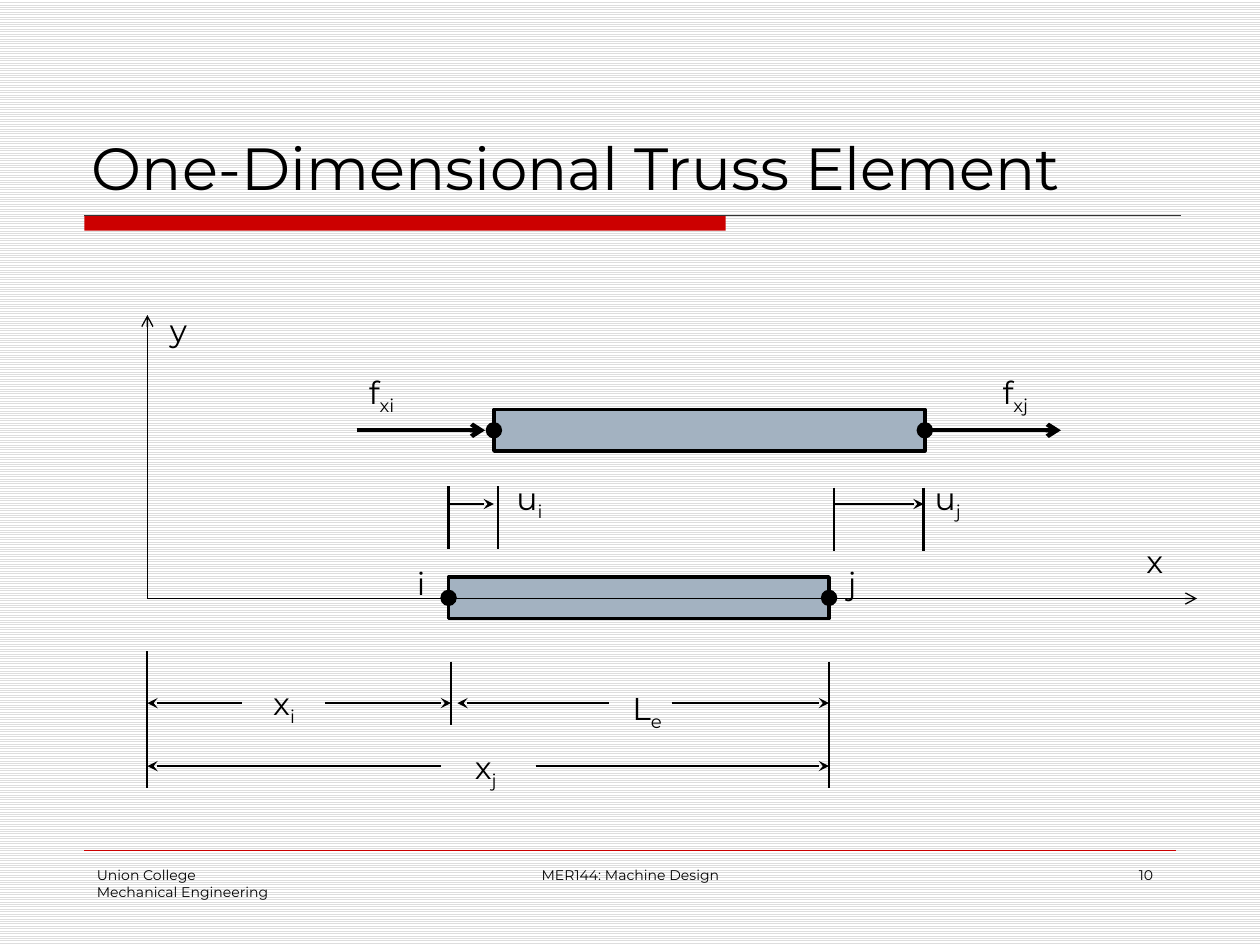
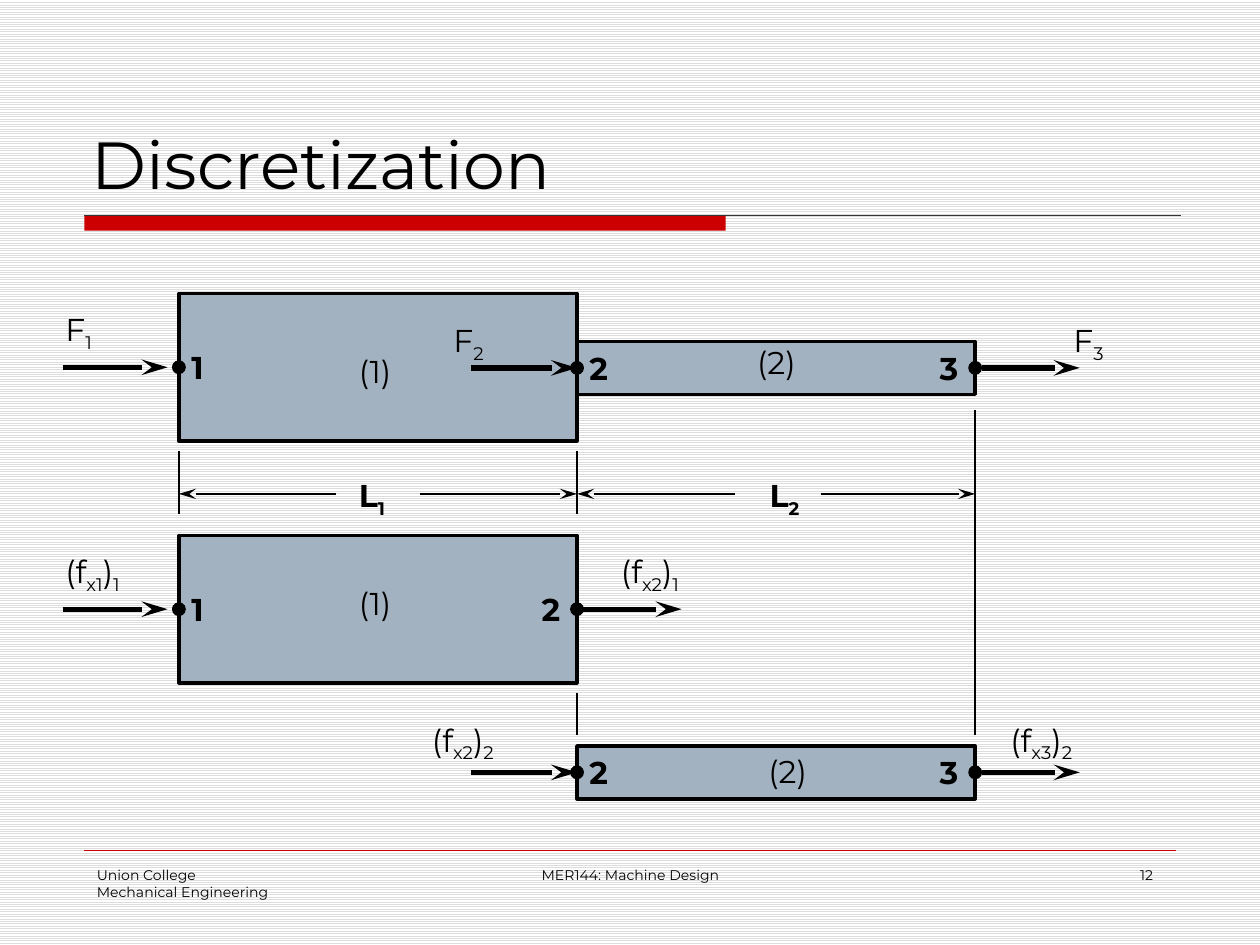
from lxml.etree import SubElement
from pptx import Presentation
from pptx.dml.color import RGBColor
from pptx.enum.dml import MSO_PATTERN
from pptx.enum.shapes import MSO_CONNECTOR, MSO_SHAPE
from pptx.enum.text import MSO_ANCHOR, MSO_AUTO_SIZE, PP_ALIGN
from pptx.oxml.ns import qn
from pptx.util import Inches, Pt

BLACK = RGBColor(0x00, 0x00, 0x00)
RED = RGBColor(0xCC, 0x00, 0x00)
STEEL = RGBColor(0xA3, 0xB2, 0xC1)
RULE = RGBColor(0x33, 0x33, 0x33)
STRIPE = RGBColor(0xDD, 0xDD, 0xDD)
WHITE = RGBColor(0xFF, 0xFF, 0xFF)
FONT = "Montserrat"
OPEN = {"type": "arrow"}
STEALTH = {"type": "stealth"}
LONG_STEALTH = {"type": "stealth", "len": "lg"}


def style_font(font, size, bold=False):
    """Apply the shared typeface to a font."""
    for name, value in {"name": FONT, "size": Pt(size), "bold": bold}.items():
        setattr(font, name, value)
    font.color.rgb = BLACK


def add_line(s, x1, y1, x2, y2, width, arrow=None, color=BLACK):
    """Draw a straight line, with an arrowhead at its end if one is given."""
    ends = [Inches(v) for v in (x1, y1, x2, y2)]
    c = s.shapes.add_connector(MSO_CONNECTOR.STRAIGHT, *ends)
    c.line.color.rgb = color
    c.line.width = Pt(width)
    if arrow:
        SubElement(c.line._get_or_add_ln(), qn("a:tailEnd"), arrow)
    SubElement(c._element.spPr, qn("a:effectLst"))


def add_solid(s, kind, box, fill, width=None):
    """Draw a filled preset shape with a black outline of the given width."""
    sp = s.shapes.add_shape(kind, *[Inches(v) for v in box])
    sp.shadow.inherit = False
    sp.fill.solid()
    sp.fill.fore_color.rgb = fill
    if width:
        sp.line.color.rgb = BLACK
        sp.line.width = Pt(width)
    else:
        sp.line.fill.background()


def add_label(s, x, y, text, bold=False):
    """Write an 18 point label in which every second part between bars is a subscript."""
    tb = s.shapes.add_textbox(*[Inches(v) for v in (x, y, 0.85, 0.4)])
    tf = tb.text_frame
    tf.word_wrap = False
    tf.auto_size = MSO_AUTO_SIZE.SHAPE_TO_FIT_TEXT
    for i, part in enumerate(text.split("|")):
        r = tf.paragraphs[0].add_run()
        r.text = part
        style_font(r.font, 18, bold)
        if i % 2:
            r._r.get_or_add_rPr().set("baseline", "-25000")


def add_bar(s, box, dot, nodes=("", "")):
    """Draw a bar with a dot and a number at each end; None leaves an end bare."""
    x, y, w, h = box
    mid = y + h / 2
    add_solid(s, MSO_SHAPE.RECTANGLE, box, STEEL, 2)
    for node, end, label_x in zip(nodes, (x, x + w), (x, x + w - 0.38)):
        if node is None:
            continue
        spot = (end - dot / 2, mid - dot / 2, dot, dot)
        add_solid(s, MSO_SHAPE.OVAL, spot, BLACK, 0.75)
        if node:
            add_label(s, label_x, mid - 0.2, node, True)


def add_title(s, text, size):
    """Place and format the title over the red band and rule."""
    add_solid(s, MSO_SHAPE.RECTANGLE, (0.67, 1.71, 5.09, 0.12), RED)
    add_line(s, 0.67, 1.71, 9.37, 1.71, 0.75, color=RULE)
    title = s.shapes.title
    box = {"left": 0.63, "top": 0.33, "width": 8.75, "height": 1.33}
    for name, value in box.items():
        setattr(title, name, Inches(value))
    tf = title.text_frame
    tf.text = text
    tf.vertical_anchor = MSO_ANCHOR.BOTTOM
    tf.auto_size = MSO_AUTO_SIZE.NONE
    tf.paragraphs[0].alignment = PP_ALIGN.LEFT
    style_font(tf.paragraphs[0].runs[0].font, size)


def add_footer(s, number):
    """Draw the footer line with department, course and page number."""
    add_line(s, 0.67, 6.75, 9.33, 6.75, 0.25, color=RED)
    parts = [
        (0.67, 2.08, PP_ALIGN.LEFT, "Union College\nMechanical Engineering"),
        (3.42, 3.17, PP_ALIGN.CENTER, "MER144: Machine Design"),
        (7.17, 2.08, PP_ALIGN.RIGHT, number),
    ]
    for x, w, align, text in parts:
        tb = s.shapes.add_textbox(*[Inches(v) for v in (x, 6.83, w, 0.5)])
        tb.text_frame.word_wrap = True
        tb.text_frame.text = text
        for p in tb.text_frame.paragraphs:
            p.alignment = align
            style_font(p.runs[0].font, 8)


def new_slide(prs, title, size, number):
    """Add a slide with the shared title and footer."""
    s = prs.slides.add_slide(prs.slide_layouts[5])
    add_title(s, title, size)
    add_footer(s, number)
    return s


def add_axes(s, box):
    """Draw the x and y axes along the bottom and left of the box."""
    x, y, w, h = box
    add_line(s, x, y + h, x + w, y + h, 0.75, OPEN)
    add_line(s, x, y + h, x, y, 0.75, OPEN)
    add_label(s, x + w - 0.5, y + h - 0.5, "x")
    add_label(s, x + 0.08, y - 0.08, "y")


def add_end_forces(s, box):
    """Draw the nodal forces at both ends of the displaced bar."""
    x, y, w, h = box
    mid = y + h / 2
    for start, label_x, text in ((x - 1.09, x - 1.09, "f|xi"),
                                 (x + w + 0.06, x + w + 0.52, "f|xj")):
        add_line(s, start, mid, start + 1.02, mid, 2.5, OPEN)
        add_label(s, label_x, mid - 0.5, text)


def add_displacement(s, box, tip, label_x, text):
    """Draw a displacement arrow between two vertical marks."""
    x, y, w, h = box
    for mark in (x, x + w):
        add_line(s, mark, y, mark, y + h, 1.25)
    add_line(s, x, 4, tip, 4, 1.5, STEALTH)
    add_label(s, label_x, 3.75, text)


def add_span(s, x1, x2, y, gap, width, arrow, text, label, bold=False):
    """Draw a dimension from x1 to x2 with a gap for its label."""
    add_line(s, gap[0], y, x1, y, width, arrow)
    add_line(s, gap[1], y, x2, y, width, arrow)
    add_label(s, *label, text, bold)


def add_positions(s, box):
    """Draw the nodal position and element length dimensions."""
    x, y, w, h = box
    node_i, node_j = x + 2.41, x + w
    marks = ((x, y, y + h), (node_i, y + 0.08, y + 0.58), (node_j, y + 0.08, y + h))
    for mark, top, bottom in marks:
        add_line(s, mark, top, mark, bottom, 1.25)
    upper, lower = y + 0.41, y + 0.91
    spans = [
        (x, node_i, upper, (x + 0.75, x + 1.41), "x|i", (x + 0.9, y + 0.21)),
        (node_i + 0.05, node_j, upper, (x + 3.66, x + 4.16), "L|e", (x + 3.75, y + 0.25)),
        (x, node_j, lower, (x + 2.33, x + 3.08), "x|j", (x + 2.5, y + 0.72)),
    ]
    for x1, x2, level, gap, text, label in spans:
        add_span(s, x1, x2, level, gap, 1.5, STEALTH, text, label)


def build_truss_element(prs):
    """Build the slide on the one-dimensional truss element."""
    s = new_slide(prs, "One-Dimensional Truss Element", 34, "10")
    displaced, initial = (3.92, 3.25, 3.42, 0.33), (3.56, 4.58, 3.02, 0.33)
    for box in (displaced, initial):
        add_bar(s, box, 0.12)
    add_end_forces(s, displaced)
    add_axes(s, (1.17, 2.5, 8.33, 2.25))
    add_displacement(s, (3.56, 3.86, 0.39, 0.5), 3.92, 4, "u|i")
    add_displacement(s, (6.62, 3.87, 0.71, 0.5), 7.33, 7.32, "u|j")
    add_label(s, 3.21, 4.43, "i")
    add_label(s, 6.63, 4.43, "j")
    add_positions(s, (1.17, 5.17, 5.41, 1.08))


def add_element(s, box, nodes, tag, tag_at, forces):
    """Draw a numbered bar with its tag and the forces on its nodes."""
    x, y, w, h = box
    mid = y + h / 2
    add_bar(s, box, 0.1, nodes)
    add_label(s, x + tag_at[0], mid + tag_at[1], tag)
    for start, end, text, dx, dy in forces:
        add_line(s, x + start, mid, x + end, mid, 3, LONG_STEALTH)
        add_label(s, x + dx, mid + dy, text)


def add_lengths(s, x, y, length):
    """Draw the length dimensions of the two elements and their guides."""
    middle, right = x + length, x + 2 * length
    guides = ((x, y - 0.34, y + 0.16), (middle, y - 0.34, y + 0.16),
              (middle, y + 1.58, y + 1.91), (right, y - 0.67, y + 1.91))
    for guide, top, bottom in guides:
        add_line(s, guide, top, guide, bottom, 1)
    for start, gap, text, dx in ((x, (1.25, 1.91), "L|1", 1.33),
                                 (middle, (1.25, 1.94), "L|2", 1.43)):
        add_span(s, start, start + length, y, (start + gap[0], start + gap[1]),
                 1, LONG_STEALTH, text, (start + dx, y - 0.19), True)


def build_discretization(prs):
    """Build the slide that splits the stepped bar into two elements."""
    s = new_slide(prs, "Discretization", 38, "12")
    left, length, thick, thin = 1.42, 3.16, 1.17, 0.42
    middle = left + length
    into_wall, into_bar = (-0.92, -0.09), (-0.84, 0)
    out_thick, out_thin = (length, length + 0.83), (length + 0.05, length + 0.83)
    elements = [
        ((left, 2.33, length, thick), ("1", None), "(1)", (1.33, -0.17),
         [(*into_wall, "F|1", -1, -0.5)]),
        ((middle, 2.71, length, thin), ("2", "3"), "(2)", (1.33, -0.25),
         [(*into_bar, "F|2", -1.08, -0.42), (*out_thin, "F|3", 3.84, -0.42)]),
        ((left, 4.25, length, thick), ("1", "2"), "(1)", (1.33, -0.25),
         [(*into_wall, "(f|x1|)|1", -1, -0.5), (*out_thick, "(f|x2|)|1", 3.41, -0.5)]),
        ((middle, 5.92, length, thin), ("2", "3"), "(2)", (1.42, -0.21),
         [(*into_bar, "(f|x2|)|2", -1.25, -0.46), (*out_thin, "(f|x3|)|2", 3.34, -0.46)]),
    ]
    for element in elements:
        add_element(s, *element)
    add_lengths(s, left, 3.92, length)


def main():
    """Build and save the presentation."""
    prs = Presentation()
    prs.slide_width, prs.slide_height = Inches(10), Inches(7.5)
    fill = prs.slide_master.background.fill
    fill.patterned()
    fill.pattern = MSO_PATTERN.LIGHT_HORIZONTAL
    fill.fore_color.rgb = STRIPE
    fill.back_color.rgb = WHITE
    build_truss_element(prs)
    build_discretization(prs)
    prs.save("out.pptx")


if __name__ == "__main__":
    main()
